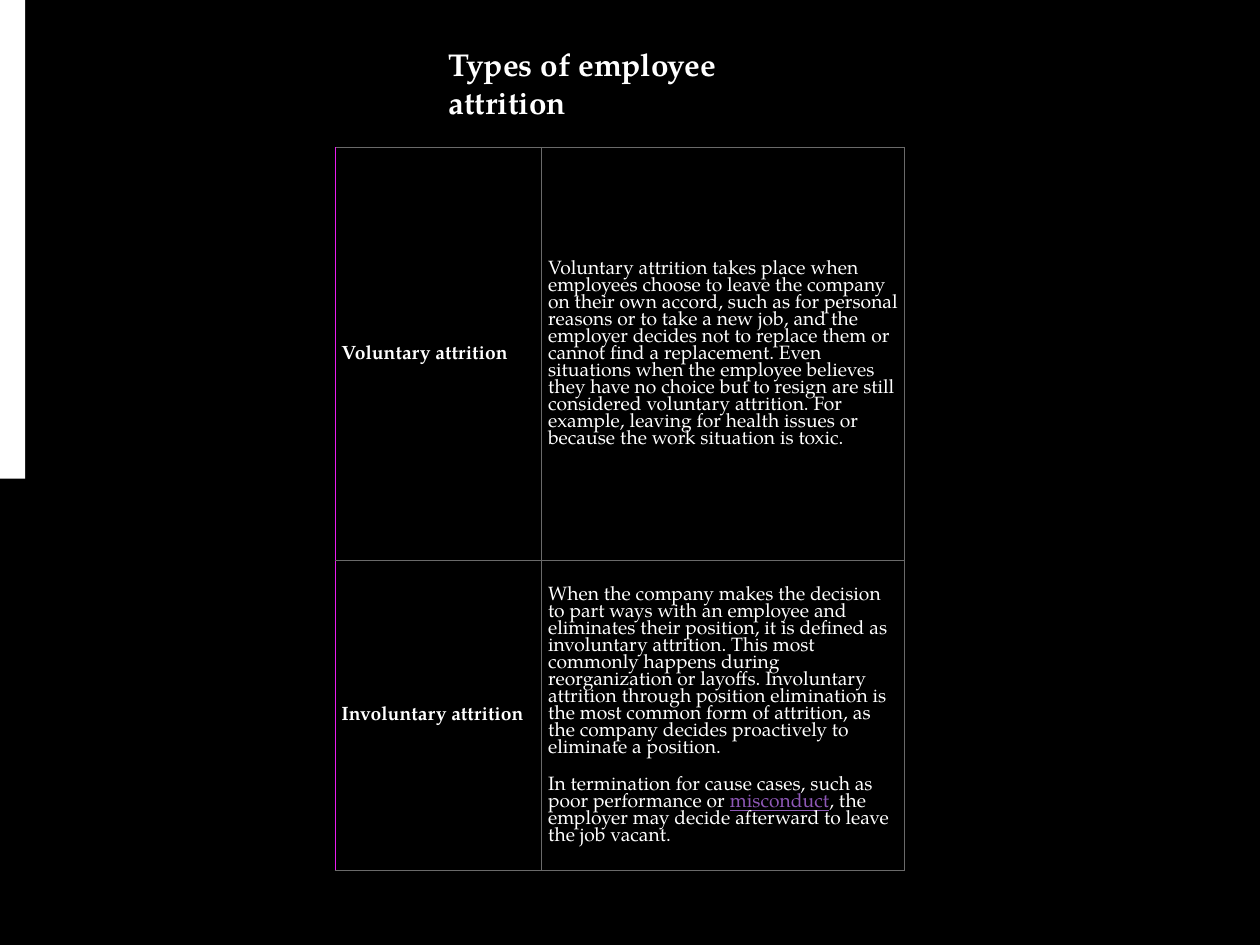
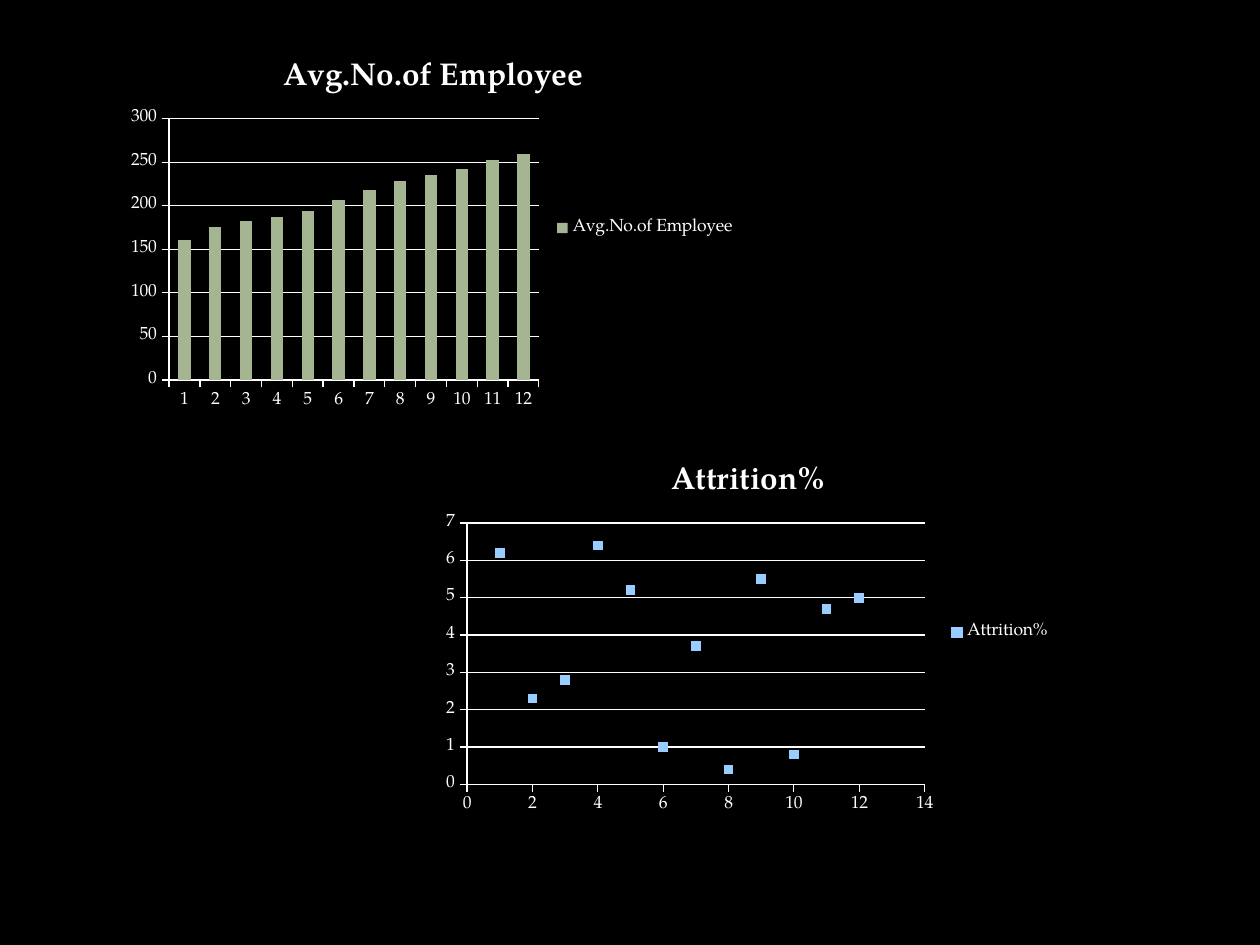
from lxml import etree
from pptx import Presentation
from pptx.chart.data import CategoryChartData, XyChartData
from pptx.dml.color import RGBColor
from pptx.enum.chart import XL_CHART_TYPE, XL_LEGEND_POSITION, XL_MARKER_STYLE, XL_TICK_MARK
from pptx.enum.shapes import MSO_SHAPE
from pptx.enum.text import MSO_ANCHOR, MSO_AUTO_SIZE
from pptx.oxml.ns import qn
from pptx.util import Inches, Pt

COLUMN = XL_CHART_TYPE.COLUMN_STACKED
SCATTER = XL_CHART_TYPE.XY_SCATTER
RIGHT = XL_LEGEND_POSITION.RIGHT
SQUARE = XL_MARKER_STYLE.SQUARE
OUTSIDE = XL_TICK_MARK.OUTSIDE
NO_TICK = XL_TICK_MARK.NONE
RECT = MSO_SHAPE.RECTANGLE
MIDDLE = MSO_ANCHOR.MIDDLE
GROW = MSO_AUTO_SIZE.SHAPE_TO_FIT_TEXT

FONT = "TeX Gyre Pagella"
COLORS = {
    "back": "000000",
    "text": "FFFFFF",
    "link": "8E58B6",
    "edge": "E81CED",
    "grid": "6A6A6A",
    "bar": "A5B592",
    "dot": "99CCFF",
}

TYPES = [
    ("Voluntary attrition", [[(
        "Voluntary attrition takes place when employees choose to leave the company "
        "on their own accord, such as for personal reasons or to take a new job, and "
        "the employer decides not to replace them or cannot find a replacement. Even "
        "situations when the employee believes they have no choice but to resign are "
        "still considered voluntary attrition. For example, leaving for health issues "
        "or because the work situation is toxic.", "text")]]),
    ("Involuntary attrition", [
        [("When the company makes the decision to part ways with an employee and "
          "eliminates their position, it is defined as involuntary attrition. This "
          "most commonly happens during reorganization or layoffs. Involuntary "
          "attrition through position elimination is the most common form of "
          "attrition, as the company decides proactively to eliminate a position.",
          "text")],
        [("In termination for cause cases, such as poor performance or ", "text"),
         ("misconduct", "link"),
         (", the employer may decide afterward to leave the job vacant.", "text")],
    ]),
]
MONTHS = range(1, 13)
STAFF = [160, 176, 182, 187, 194, 206, 218, 228, 235, 242, 253, 259]
RATES = [6.2, 2.3, 2.8, 6.4, 5.2, 1, 3.7, 0.4, 5.5, 0.8, 4.7, 5]


def rgb(name):
    return RGBColor.from_string(COLORS[name])


def box(*sizes):
    return [Inches(size) for size in sizes]


def paint(fill, name):
    fill.solid()
    fill.fore_color.rgb = rgb(name)


def style(font, size, bold=False, color="text"):
    font.name = FONT
    font.size = Pt(size)
    font.bold = bold
    font.color.rgb = rgb(color)


def add_run(para, text, size, bold=False, color="text"):
    run = para.add_run()
    run.text = text
    style(run.font, size, bold, color)
    run.font.underline = color == "link"


def add_slide(deck):
    slide = deck.slides.add_slide(deck.slide_layouts[6])
    paint(slide.background.fill, "back")
    return slide


def add_title(slide, text, place):
    frame = slide.shapes.add_textbox(*box(*place)).text_frame
    frame.word_wrap = True
    frame.auto_size = GROW
    add_run(frame.paragraphs[0], text, 18, True)


def add_band(slide, place):
    band = slide.shapes.add_shape(RECT, *box(*place))
    band.shadow.inherit = False
    paint(band.fill, "text")
    band.line.fill.background()


def set_edges(cell, left):
    props = cell._tc.get_or_add_tcPr()
    for i, side in enumerate("LRTB"):
        line = etree.Element(qn(f"a:ln{side}"), w=str(Pt(0.75)))
        fill = etree.SubElement(line, qn("a:solidFill"))
        color = left if side == "L" else "grid"
        etree.SubElement(fill, qn("a:srgbClr"), val=COLORS[color])
        props.insert(i, line)


def fill_cell(cell, paras, bold, left):
    paint(cell.fill, "back")
    cell.vertical_anchor = MIDDLE
    cell.margin_left = cell.margin_right = Inches(0.05)
    cell.margin_top = cell.margin_bottom = Inches(0.03)
    frame = cell.text_frame
    for i, runs in enumerate(paras):
        para = frame.add_paragraph() if i else frame.paragraphs[0]
        para.line_spacing = 0.87
        para.space_before = Pt(11.2 if i else 0)
        for text, color in runs:
            add_run(para, text, 11, bold, color)
    set_edges(cell, left)


def add_grid(slide, rows, place, widths, heights):
    table = slide.shapes.add_table(len(rows), len(widths), *box(*place)).table
    table.first_row = table.horz_banding = False
    for col, width in zip(table.columns, widths):
        col.width = Inches(width)
    for row, height in zip(table.rows, heights):
        row.height = Inches(height)
    for i, (name, paras) in enumerate(rows):
        fill_cell(table.cell(i, 0), [[(name, "text")]], True, "edge")
        fill_cell(table.cell(i, 1), paras, False, "grid")


def draw_line(line):
    line.color.rgb = rgb("text")
    line.width = Pt(0.75)


def add_plot(slide, kind, data, title, place):
    chart = slide.shapes.add_chart(kind, *box(*place), data).chart
    style(chart.font, 10)
    chart.has_title = True
    add_run(chart.chart_title.text_frame.paragraphs[0], title, 18, True)
    chart.chart_title.include_in_layout = False
    chart.has_legend = True
    chart.legend.position = RIGHT
    chart.legend.include_in_layout = False
    for axis in (chart.category_axis, chart.value_axis):
        axis.major_tick_mark = OUTSIDE
        axis.minor_tick_mark = NO_TICK
        axis.has_major_gridlines = axis is chart.value_axis
        draw_line(axis.format.line)
    chart.value_axis.has_major_gridlines = True
    draw_line(chart.value_axis.major_gridlines.format.line)
    chart.plots[0].vary_by_categories = False
    return chart


def add_bars(slide, name, place):
    data = CategoryChartData()
    data.categories = [str(month) for month in MONTHS]
    data.add_series(name, STAFF)
    chart = add_plot(slide, COLUMN, data, name, place)
    chart.value_axis.minimum_scale = 0
    plot = chart.plots[0]
    plot.gap_width = 150
    plot.overlap = 100
    paint(plot.series[0].format.fill, "bar")


def add_dots(slide, name, place):
    data = XyChartData()
    points = data.add_series(name)
    for month, rate in zip(MONTHS, RATES):
        points.add_data_point(month, rate)
    chart = add_plot(slide, SCATTER, data, name, place)
    chart.category_axis.minimum_scale = 0
    chart.category_axis.maximum_scale = 14
    chart.category_axis.major_unit = 2
    chart.value_axis.minimum_scale = 0
    chart.value_axis.maximum_scale = 7
    chart.value_axis.major_unit = 1
    series = chart.plots[0].series[0]
    series.smooth = False
    series.format.line.fill.background()
    series.marker.style = SQUARE
    series.marker.size = 5
    paint(series.marker.format.fill, "dot")
    series.marker.format.line.fill.background()


def main():
    deck = Presentation()
    deck.slide_width, deck.slide_height = box(10, 7.5)

    kinds = add_slide(deck)
    add_grid(kinds, TYPES, (2.66, 1.17, 4.52, 5.74), (1.64, 2.88), (3.28, 2.46))
    add_band(kinds, (0, 0, 0.2, 3.8))
    add_title(kinds, "Types of employee attrition", (3.46, 0.31, 3.08, 0.4))

    stats = add_slide(deck)
    add_bars(stats, "Avg.No.of Employee", (0.94, 0.31, 5, 3))
    add_dots(stats, "Attrition%", (3.44, 3.52, 5, 3))

    deck.save("out.pptx")


if __name__ == "__main__":
    main()
